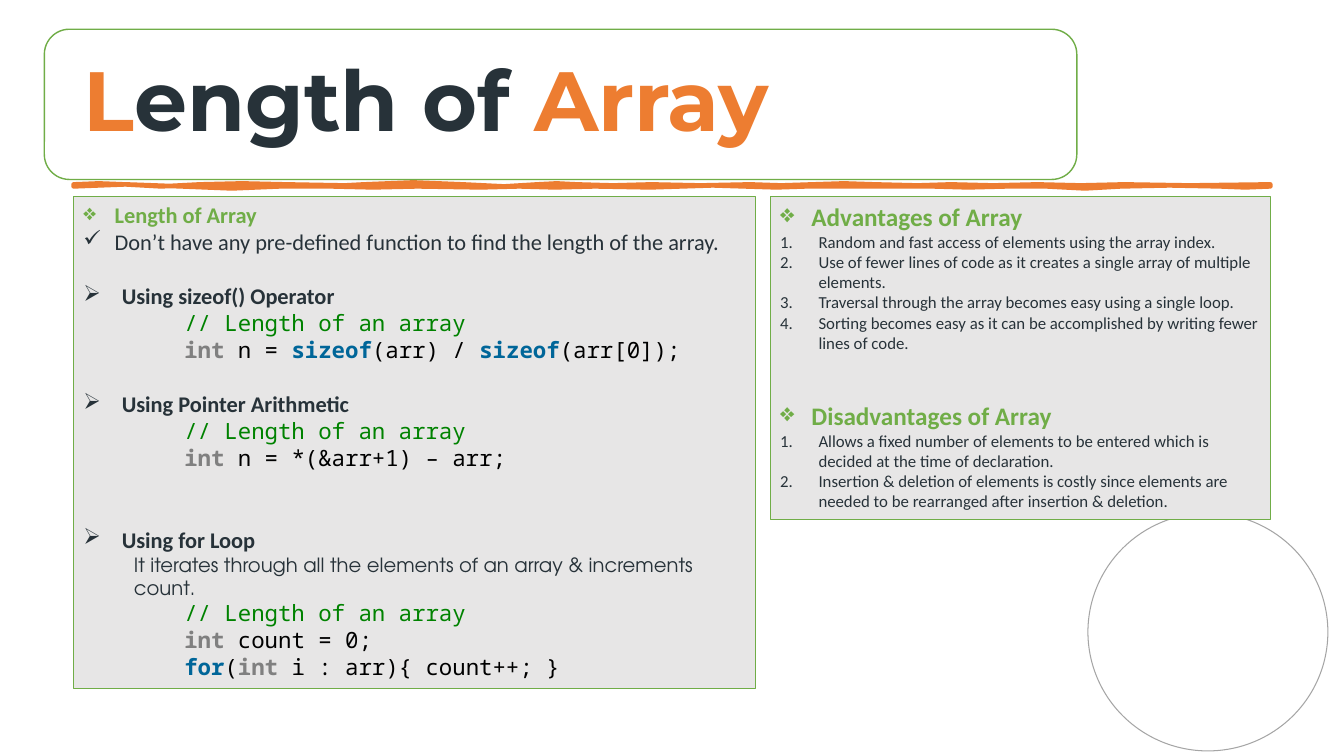
from lxml import etree
from pptx import Presentation
from pptx.dml.color import RGBColor
from pptx.enum.shapes import MSO_SHAPE
from pptx.enum.text import MSO_ANCHOR, PP_ALIGN
from pptx.oxml.ns import qn
from pptx.util import Pt

PX = 9144
RECTANGLE = MSO_SHAPE.RECTANGLE
ROUNDED = MSO_SHAPE.ROUNDED_RECTANGLE
OVAL = MSO_SHAPE.OVAL
TOP, MIDDLE = MSO_ANCHOR.TOP, MSO_ANCHOR.MIDDLE
LEFT = PP_ALIGN.LEFT

ORANGE, DARK, GREEN = "ED7D31", "273239", "70AD47"
PANEL_GREY, OUTLINE_GREY = "E7E6E6", "A5A5A5"
SANS, MONO, ROUND = "Calibri", "Noto Sans Mono", "TeX Gyre Adventor"

RUN_STYLES = {
    "accent": ("Montserrat", 60, ORANGE, True),
    "title": ("Montserrat", 60, DARK, True),
    "heading": (SANS, 16, GREEN, True),
    "large heading": (SANS, 18, GREEN, True),
    "body": (SANS, 16, DARK, False),
    "method": (SANS, 16, DARK, True),
    "item": (SANS, 12, DARK, False),
    "note": (ROUND, 14, DARK, False),
    "comment": (MONO, 16, "008200", False),
    "type": (MONO, 16, "808080", True),
    "keyword": (MONO, 16, "006699", True),
    "code": (MONO, 16, "000000", False),
}
PARAGRAPH_STYLES = {
    "plain": (0, 0, None),
    "diamond": (31, -31, "❖"),
    "check": (31, -31, "✓"),
    "arrow": (38, -38, "➢"),
    "number": (38, -38, "arabicPeriod"),
    "note": (50, 0, None),
    "code": (100, 0, None),
}

TITLE = [("plain", 0, [("L", "accent"), ("ength of ", "title"), ("Array", "accent")])]
LENGTH_COMMENT = ("code", 0, [("// Length of an array", "comment")])
LENGTH = [
    ("diamond", 0, [("Length of Array", "heading")]),
    ("check", 0, [("Don’t have any pre-defined function to find the length of the array.", "body")]),
    ("arrow", 19.5, [("Using sizeof() Operator", "method")]),
    LENGTH_COMMENT,
    ("code", 0, [("int ", "type"), ("n = ", "code"), ("sizeof", "keyword"),
                 ("(arr) / ", "code"), ("sizeof", "keyword"), ("(arr[0]);", "code")]),
    ("arrow", 19.5, [("Using Pointer Arithmetic", "method")]),
    LENGTH_COMMENT,
    ("code", 0, [("int ", "type"), ("n = *(&arr+1) – arr;", "code")]),
    ("arrow", 39, [("Using for Loop", "method")]),
    ("note", 0, [("It iterates through all the elements of an array & increments count.", "note")]),
    LENGTH_COMMENT,
    ("code", 0, [("int ", "type"), ("count = 0;", "code")]),
    ("code", 0, [("for", "keyword"), ("(", "code"), ("int", "type"),
                 (" i : arr){ count++; }", "code")]),
]
ADVANTAGES = [
    "Random and fast access of elements using the array index.",
    "Use of fewer lines of code as it creates a single array of multiple elements.",
    "Traversal through the array becomes easy using a single loop.",
    "Sorting becomes easy as it can be accomplished by writing fewer lines of code.",
]
DISADVANTAGES = [
    "Allows a fixed number of elements to be entered which is decided at the time of declaration.",
    "Insertion & deletion of elements is costly since elements are needed to be rearranged "
    "after insertion & deletion.",
]
BRUSH_STROKE = [
    (73, 183), (98, 182), (124, 183), (160, 185), (198, 183), (240, 182), (284, 183),
    (342, 184), (361, 183), (410, 181), (459, 183), (500, 185), (533, 183), (552, 182),
    (572, 183), (608, 184), (646, 183), (695, 184), (744, 183), (775, 184), (806, 183),
    (837, 182), (868, 183), (910, 184), (943, 183), (985, 184), (1029, 183), (1072, 184),
    (1115, 183), (1180, 184), (1260, 183), (1260, 185), (1235, 186), (1210, 185),
    (1160, 184), (1112, 185), (1076, 187), (1038, 185), (999, 185), (960, 186), (925, 185),
    (800, 185), (770, 186), (738, 185), (707, 184), (676, 185), (645, 186), (590, 185),
    (550, 186), (515, 185), (477, 186), (414, 185), (370, 186), (328, 185), (278, 185),
    (230, 187), (180, 185), (125, 183), (73, 185),
]


def color(value):
    return RGBColor.from_string(value)


def paint(shape, fill, line, width):
    shape.shadow.inherit = False
    if fill:
        shape.fill.solid()
        shape.fill.fore_color.rgb = color(fill)
    else:
        shape.fill.background()
    shape.line.color.rgb = color(line)
    shape.line.width = Pt(width)


def add_shape(slide, kind, box, fill, line, width):
    shape = slide.shapes.add_shape(kind, *[value * PX for value in box])
    paint(shape, fill, line, width)
    return shape


def format_paragraph(paragraph, style, space_before):
    margin, indent, bullet = PARAGRAPH_STYLES[style]
    properties = paragraph._p.get_or_add_pPr()
    properties.set("marL", str(margin * PX))
    properties.set("indent", str(indent * PX))
    paragraph.alignment = LEFT
    if space_before:
        paragraph.space_before = Pt(space_before)
    if style == "number":
        etree.SubElement(properties, qn("a:buAutoNum")).set("type", bullet)
    elif bullet:
        etree.SubElement(properties, qn("a:buChar")).set("char", bullet)
    else:
        etree.SubElement(properties, qn("a:buNone"))


def write(shape, paragraphs, anchor):
    frame = shape.text_frame
    frame.word_wrap = True
    frame.vertical_anchor = anchor
    for index, (style, space_before, runs) in enumerate(paragraphs):
        paragraph = frame.add_paragraph() if index else frame.paragraphs[0]
        format_paragraph(paragraph, style, space_before)
        for text, run_style in runs:
            run = paragraph.add_run()
            run.text = text
            font = run.font
            font.name, size, shade, font.bold = RUN_STYLES[run_style]
            font.size = Pt(size)
            font.color.rgb = color(shade)


def numbered_section(heading, items, space_before):
    return [("diamond", space_before, [(heading, "large heading")])] + [
        ("number", 0, [(item, "item")]) for item in items
    ]


def main():
    presentation = Presentation()
    presentation.slide_width, presentation.slide_height = 1333 * PX, 750 * PX
    slide = presentation.slides.add_slide(presentation.slide_layouts[6])

    title = slide.shapes.add_textbox(73 * PX, 29 * PX, 995 * PX, 149 * PX)
    write(title, TITLE, MIDDLE)
    title.text_frame.paragraphs[0].line_spacing = 0.9

    builder = slide.shapes.build_freeform(*BRUSH_STROKE[0], scale=PX)
    builder.add_line_segments(BRUSH_STROKE[1:], close=True)
    paint(builder.convert_to_shape(), ORANGE, ORANGE, 3.25)

    length_panel = add_shape(slide, RECTANGLE, (73, 195, 676, 488), PANEL_GREY, GREEN, 0.75)
    write(length_panel, LENGTH, TOP)
    add_shape(slide, OVAL, (1079, 509, 238, 236), None, OUTLINE_GREY, 0.75)
    add_shape(slide, ROUNDED, (44, 29, 1024, 149), None, GREEN, 1)
    comparison_panel = add_shape(slide, RECTANGLE, (764, 195, 496, 320), PANEL_GREY, GREEN, 0.75)
    comparison = (numbered_section("Advantages of Array", ADVANTAGES, 0)
                  + numbered_section("Disadvantages of Array", DISADVANTAGES, 34))
    write(comparison_panel, comparison, TOP)

    presentation.save("out.pptx")


if __name__ == "__main__":
    main()
